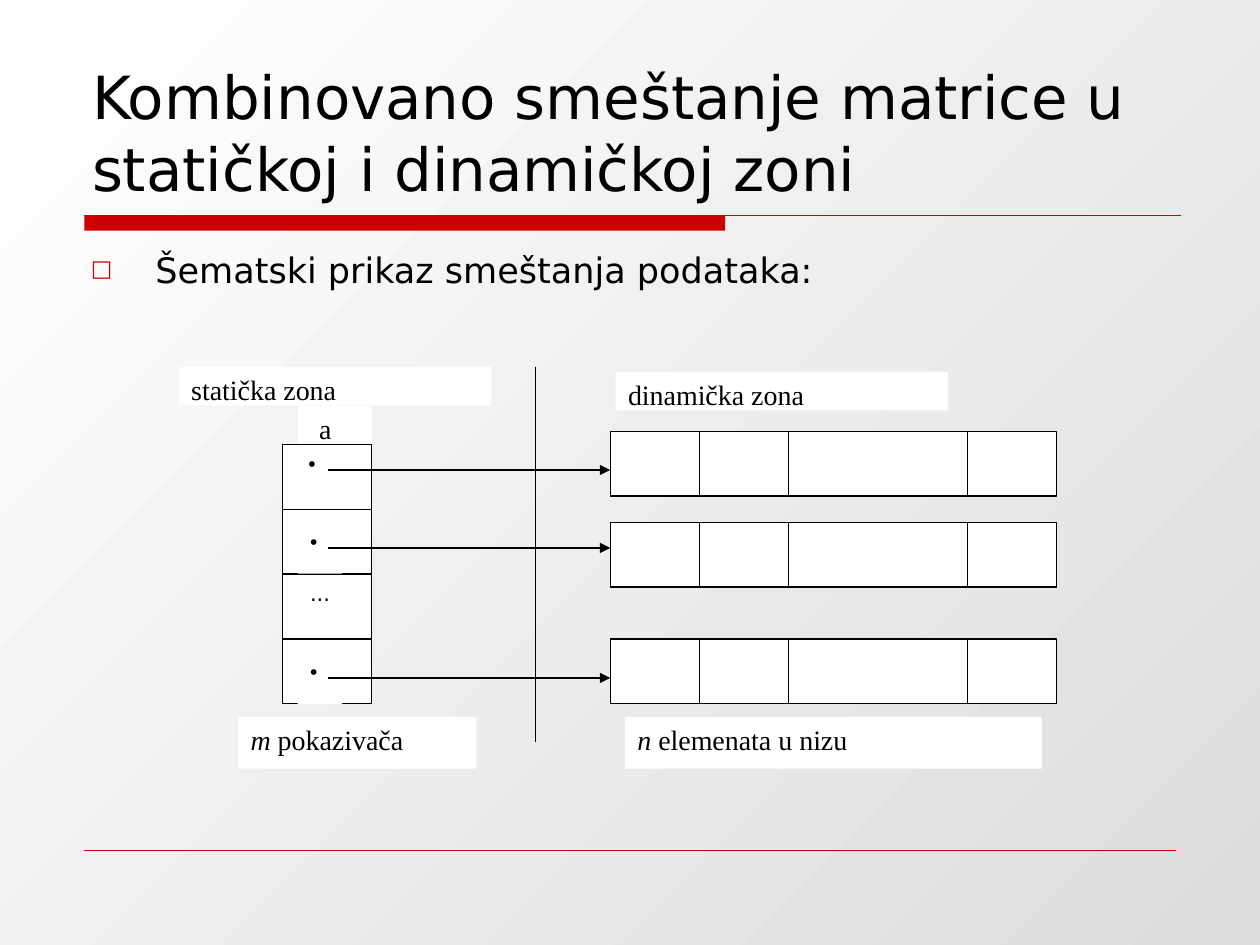
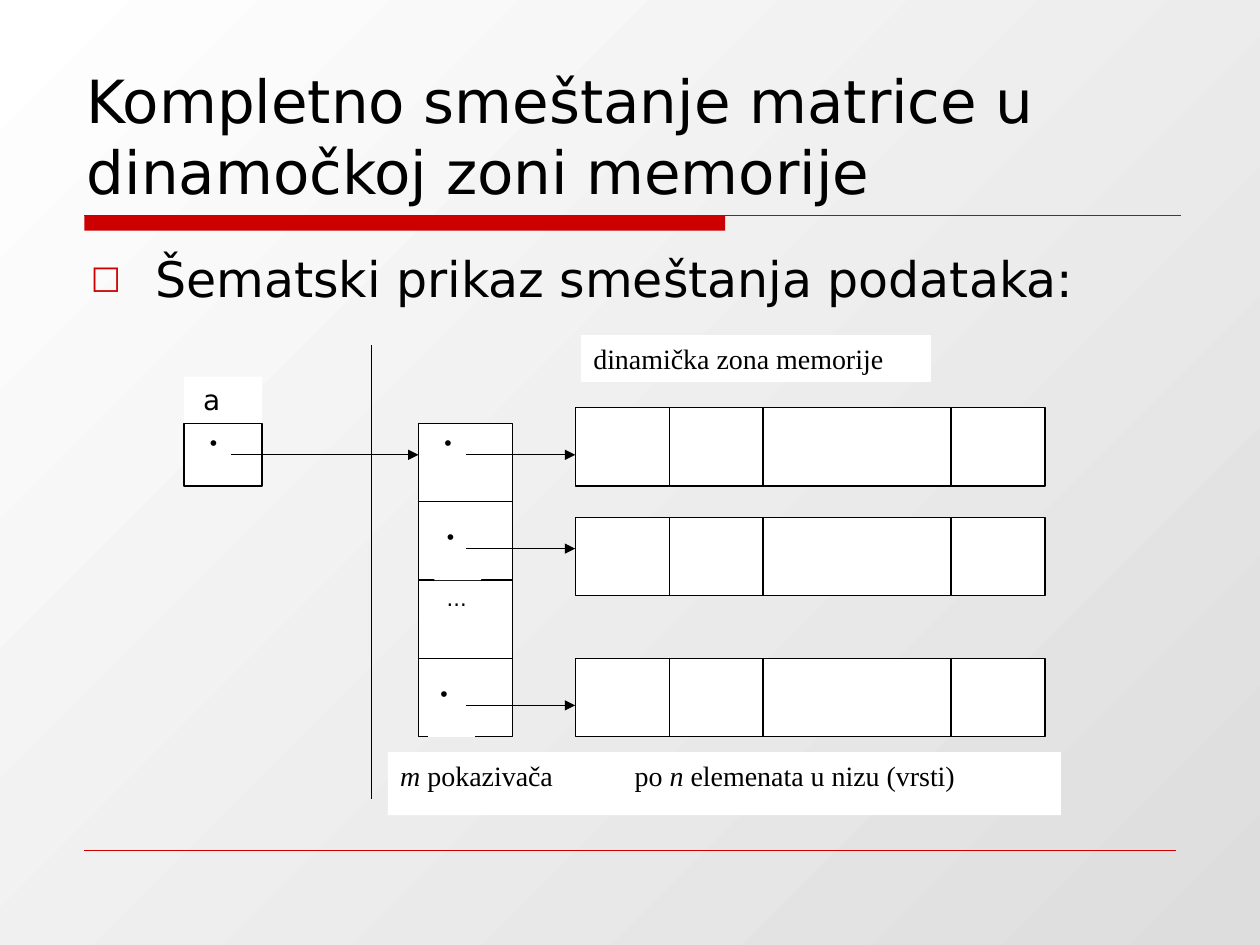
from lxml.etree import SubElement
from pptx import Presentation
from pptx.dml.color import RGBColor
from pptx.enum.shapes import MSO_CONNECTOR as Connector, MSO_SHAPE as Shape
from pptx.enum.text import MSO_ANCHOR as Anchor, MSO_AUTO_SIZE as AutoSize, PP_ALIGN as Align
from pptx.oxml.ns import qn
from pptx.util import Pt

COLORS = {"ink": "000000", "paper": "FFFFFF", "shade": "DDDDDD", "accent": "CC0000"}
SANS, SERIF, DOT_FONT = "DejaVu Sans", "Times New Roman", "Arial"
TITLE_ONLY = 5
DOT_INDENT = 7.6
ARRAY_CUTS = (1, 2, 4)
ARRAY_PARTS = 5
POINTER_CELLS = 4


def color(name):
    return RGBColor.from_string(COLORS[name])


def points(*lengths):
    return [Pt(length) for length in lengths]


def set_font(para, name, size):
    para.font.name = name
    para.font.size = Pt(size)
    para.font.color.rgb = color("ink")
    para.alignment = Align.LEFT


def shade_background(deck):
    fill = deck.slide_master.background.fill
    fill.gradient()
    fill.gradient_angle = 135
    for stop, name in zip(fill.gradient_stops, ("shade", "paper")):
        stop.color.rgb = color(name)


def add_line(slide, x1, y1, x2, y2, ink="ink", width=0.75, arrow=False):
    line = slide.shapes.add_connector(Connector.STRAIGHT, *points(x1, y1, x2, y2))
    line.line.color.rgb = color(ink)
    line.line.width = Pt(width)
    if arrow:
        SubElement(line.line._get_or_add_ln(), qn("a:tailEnd"), type="triangle")
    SubElement(line._element.spPr, qn("a:effectLst"))


def add_box(slide, place, fill="paper", outlined=False):
    box = slide.shapes.add_shape(Shape.RECTANGLE, *points(*place))
    box.shadow.inherit = False
    box.fill.solid()
    box.fill.fore_color.rgb = color(fill)
    if outlined:
        box.line.color.rgb = color("ink")
        box.line.width = Pt(0.75)
    else:
        box.line.fill.background()
    return box


def write(box, spans, font=SERIF, size=16, indent=0):
    frame = box.text_frame
    frame.word_wrap = True
    frame.vertical_anchor = Anchor.TOP
    frame.margin_left = Pt(7.2 + indent)
    para = frame.paragraphs[0]
    set_font(para, font, size)
    for text, italic in spans:
        span = para.add_run()
        span.text = text
        if italic:
            span.font.italic = True


def add_label(slide, place, *spans, **style):
    write(add_box(slide, place), spans, **style)


def add_dot(box, indent=0):
    write(box, [("•", False)], DOT_FONT, 12, indent)


def add_bullet_text(slide, text, size, space):
    box = slide.shapes.add_textbox(*points(44.8, 138.2, 630, 336))
    box.text_frame.word_wrap = True
    para = box.text_frame.paragraphs[0]
    para.text = text
    set_font(para, SANS, size)
    para.space_before = Pt(space)
    props = para._p.get_or_add_pPr()
    props.set("marL", str(Pt(36.9)))
    props.set("indent", str(-Pt(36.9)))
    defaults = props.find(qn("a:defRPr"))
    tint = SubElement(props, qn("a:buClr"))
    SubElement(tint, qn("a:srgbClr"), val=COLORS["accent"])
    SubElement(props, qn("a:buSzPct"), val="65000")
    SubElement(props, qn("a:buFont"), typeface=SANS)
    SubElement(props, qn("a:buChar"), char="□")
    props.append(defaults)


def start_slide(deck, title, left, top, body_size, body_space):
    slide = deck.slides.add_slide(deck.slide_layouts[TITLE_ONLY])
    add_box(slide, (48.2, 123.1, 366.3, 8.7), "accent")
    add_line(slide, 48.2, 123.1, 674.6, 123.1, "accent")
    add_line(slide, 48.2, 486, 671.8, 486, "accent", 0.25)
    heading = slide.shapes.title
    heading.left, heading.top, heading.width, heading.height = points(left, top, 630, 95.8)
    frame = heading.text_frame
    frame.text = title
    frame.word_wrap = True
    frame.auto_size = AutoSize.NONE
    frame.vertical_anchor = Anchor.BOTTOM
    set_font(frame.paragraphs[0], SANS, 34)
    add_bullet_text(slide, "Šematski prikaz smeštanja podataka:", body_size, body_space)
    return slide


def add_array(slide, left, top, width, height):
    add_box(slide, (left, top, width, height), outlined=True)
    for cut in ARRAY_CUTS:
        x = left + width * cut / ARRAY_PARTS
        add_line(slide, x, top, x, top + height)


def add_pointer_column(slide, place, ellipsis, dots):
    left, top, width, height = place
    add_dot(add_box(slide, place, outlined=True), DOT_INDENT)
    add_label(slide, ellipsis, ("...", False), font=SANS, size=12)
    for cell in range(1, POINTER_CELLS):
        y = top + height * cell / POINTER_CELLS
        add_line(slide, left, y, left + width, y)
    for dot in dots:
        add_dot(add_box(slide, dot))


def add_matrix(slide, column, ellipsis, dot_size, dot_lefts, arrow_start, arrow_ys,
               array_left, array_size, array_tops):
    dot_width, dot_height = dot_size
    dots = [(x, y - dot_height / 2, dot_width, dot_height)
            for x, y in zip(dot_lefts, arrow_ys[1:])]
    add_pointer_column(slide, column, ellipsis, dots)
    for top, y in zip(array_tops, arrow_ys):
        add_array(slide, array_left, top, *array_size)
        add_line(slide, arrow_start, y, array_left, y, arrow=True)


def build_combined(deck):
    slide = start_slide(deck, "Kombinovano smeštanje matrice u statičkoj i dinamičkoj zoni",
                        45.4, 23.8, 20, 5)
    add_label(slide, (102.2, 209.5, 178.6, 22.2), ("statička zona", False))
    add_line(slide, 306.2, 209.5, 306.2, 424.1)
    add_label(slide, (351.8, 212.4, 190.1, 22.2), ("dinamička zona", False))
    add_label(slide, (170.1, 231.8, 42.5, 22.2), ("a", False), indent=5.1)
    add_matrix(slide, column=(161.4, 254, 51, 148.2), ellipsis=(170.1, 328.1, 34, 29.6),
               dot_size=(25.5, 29.6), dot_lefts=(170.1, 170.1),
               arrow_start=187.2, arrow_ys=(268.6, 313.1, 387.4),
               array_left=348.7, array_size=(255, 37), array_tops=(246.5, 298.4, 365.2))
    add_label(slide, (136.1, 409.6, 136.1, 29.6), ("m", True), (" pokazivača", False))
    add_label(slide, (357.1, 409.6, 238.3, 29.6), ("n", True), (" elemenata u nizu", False))


def build_dynamic(deck):
    slide = start_slide(deck, "Kompletno smeštanje matrice u dinamočkoj zoni memorije",
                        42.5, 25.9, 28, 7)
    add_line(slide, 212.5, 197.3, 212.5, 456.5)
    add_label(slide, (332, 191.5, 200, 26.7), ("dinamička zona memorije", False))
    add_label(slide, (105.1, 215.2, 44.7, 26.7), ("a", False), font=SANS, indent=3.8)
    add_matrix(slide, column=(239.2, 241.9, 53.6, 179), ellipsis=(248.2, 331.3, 36, 36),
               dot_size=(26.8, 36), dot_lefts=(248.2, 244.6),
               arrow_start=266.4, arrow_ys=(259.9, 313.5, 403.1),
               array_left=328.7, array_size=(268.5, 44.7), array_tops=(233, 295.8, 376.2))
    add_label(slide, (221.6, 429.8, 143.3, 36), ("m", True), (" pokazivača", False))
    add_label(slide, (355.6, 429.8, 250.6, 36),
              ("po ", False), ("n", True), (" elemenata u nizu (vrsti)", False))
    add_dot(add_box(slide, (105.1, 241.9, 44.7, 35.8), outlined=True), DOT_INDENT)
    add_line(slide, 131.9, 259.9, 239.2, 259.9, arrow=True)


def main():
    deck = Presentation()
    deck.slide_width, deck.slide_height = points(720, 540)
    shade_background(deck)
    build_combined(deck)
    build_dynamic(deck)
    deck.save("out.pptx")


if __name__ == "__main__":
    main()
